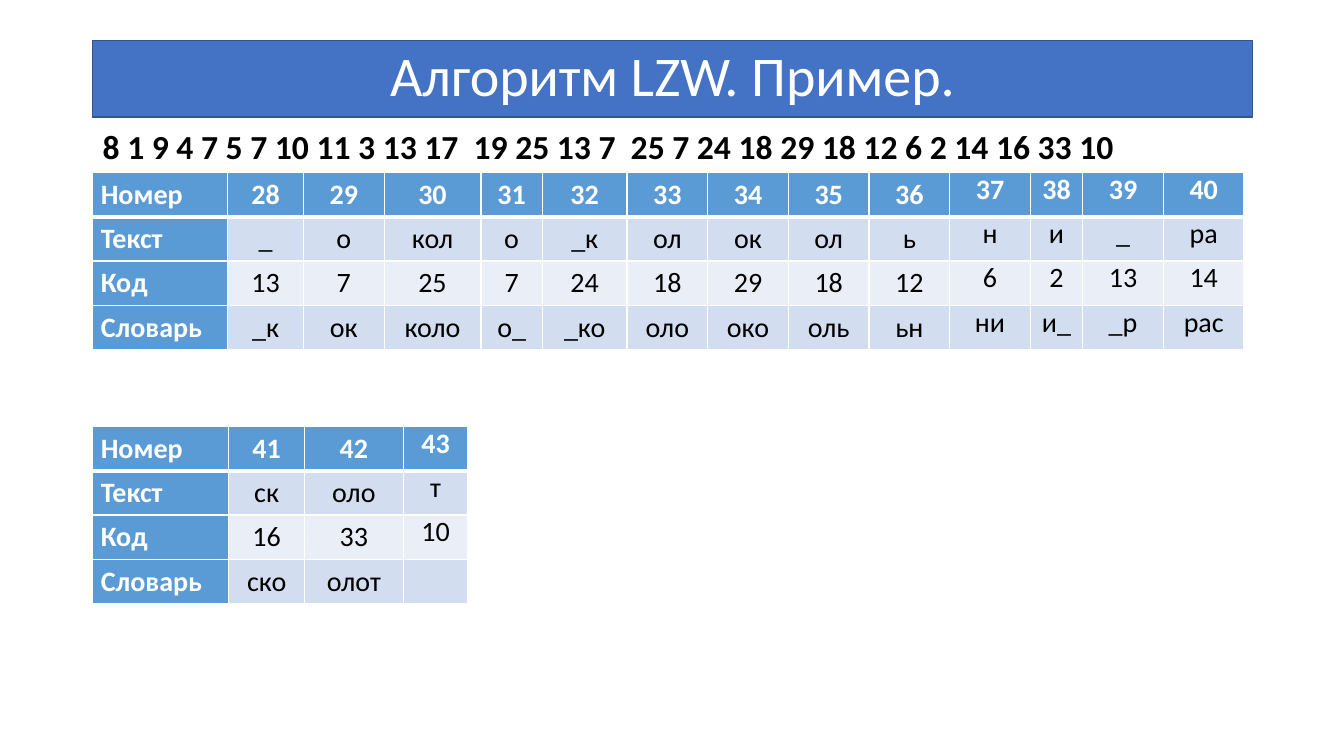
from dataclasses import dataclass

from lxml import etree
from pptx import Presentation
from pptx.dml.color import RGBColor
from pptx.enum.text import MSO_ANCHOR, MSO_AUTO_SIZE, PP_ALIGN
from pptx.oxml.ns import qn
from pptx.util import Inches, Pt

LEFT, CENTER = PP_ALIGN.LEFT, PP_ALIGN.CENTER
MIDDLE, TOP = MSO_ANCHOR.MIDDLE, MSO_ANCHOR.TOP
NO_FIT = MSO_AUTO_SIZE.NONE


@dataclass(frozen=True)
class Theme:
    font: str = "Calibri"
    white: str = "FFFFFF"
    black: str = "000000"
    title_fill: str = "4472C4"
    title_line: str = "325491"
    header: str = "5B9BD5"
    bands: tuple[str, str] = ("EAEFF7", "D2DEEF")
    title_size: int = 40
    code_size: int = 24
    cell_size: int = 20
    border: int = 1
    header_border: int = 3


@dataclass(frozen=True)
class StepTable:
    top: float
    widths: list[float]
    rows: list[list[str]]
    tight: int  # trailing columns without cell margins


THEME = Theme()
MARGIN_LEFT = 0.92
CONTENT_WIDTH = 11.5
ROW_HEIGHT = 0.44
CELL_MARGINS = {"margin_left": 0.08, "margin_top": 0.05,
                "margin_right": 0.08, "margin_bottom": 0.05}

TITLE = "Алгоритм LZW. Пример."
CODES = "8 1 9 4 7 5 7 10 11 3 13 17  19 25 13 7  25 7 24 18 29 18 12 6 2 14 16 33 10"
TABLES = [
    StepTable(
        1.71,
        [1.34, 0.75, 0.8, 0.96, 0.61, 0.84, *[0.8] * 5, 0.52, 0.8, 0.8],
        [
            ["Номер", *map(str, range(28, 41))],
            "Текст _ о кол о _к ол ок ол ь н и _ ра".split(),
            "Код 13 7 25 7 24 18 29 18 12 6 2 13 14".split(),
            "Словарь _к ок коло о_ _ко оло око оль ьн ни и_ _р рас".split(),
        ],
        4,
    ),
    StepTable(
        4.23,
        [1.35, 0.75, 0.98, 0.64],
        [
            ["Номер", *map(str, range(41, 44))],
            ["Текст", "ск", "оло", "т"],
            ["Код", "16", "33", "10"],
            ["Словарь", "ско", "олот", ""],
        ],
        1,
    ),
]


def rgb(color: str) -> RGBColor:
    return RGBColor.from_string(color)


def write(p, text: str, size: int, color: str, bold: bool = False, **layout) -> None:
    """Put one formatted run in a paragraph."""
    for name, value in layout.items():
        setattr(p, name, value)
    if not text:
        return
    r = p.add_run()
    r.text = text
    for name, value in {"name": THEME.font, "size": Pt(size), "bold": bold}.items():
        setattr(r.font, name, value)
    r.font.color.rgb = rgb(color)


def set_borders(cell, bottom: int) -> None:
    tc_pr = cell._tc.get_or_add_tcPr()
    widths = dict.fromkeys(("lnL", "lnR", "lnT"), THEME.border) | {"lnB": bottom}
    for tag, width in widths.items():
        ln = etree.SubElement(tc_pr, qn(f"a:{tag}"), w=str(Pt(width)))
        fill = etree.SubElement(ln, qn("a:solidFill"))
        etree.SubElement(fill, qn("a:srgbClr"), val=THEME.white)


def add_title(s) -> None:
    sp = s.shapes.title
    box = {"left": MARGIN_LEFT, "top": 0.4, "width": CONTENT_WIDTH, "height": 0.76}
    for name, value in box.items():
        setattr(sp, name, Inches(value))
    sp.fill.solid()
    sp.fill.fore_color.rgb = rgb(THEME.title_fill)
    sp.line.color.rgb = rgb(THEME.title_line)
    sp.line.width = Pt(1)
    tf = sp.text_frame
    for name, value in {"auto_size": NO_FIT, "vertical_anchor": MIDDLE, "word_wrap": True}.items():
        setattr(tf, name, value)
    write(tf.paragraphs[0], TITLE, THEME.title_size, THEME.white,
          alignment=CENTER, line_spacing=0.9)


def add_codes(s) -> None:
    sp = s.shapes.add_textbox(Inches(MARGIN_LEFT), Inches(1.24),
                              Inches(CONTENT_WIDTH), Inches(5.52))
    tf = sp.text_frame
    tf.word_wrap = True
    write(tf.paragraphs[0], CODES, THEME.code_size, THEME.black, True,
          line_spacing=0.9, space_before=Pt(10))


def add_step_table(s, steps: StepTable) -> None:
    n_rows, n_cols = len(steps.rows), len(steps.widths)
    table = s.shapes.add_table(
        n_rows, n_cols, Inches(MARGIN_LEFT), Inches(steps.top),
        Inches(sum(steps.widths)), Inches(ROW_HEIGHT * n_rows)).table
    table.first_col = True
    for column, width in zip(table.columns, steps.widths):
        column.width = Inches(width)
    for i, texts in enumerate(steps.rows):
        table.rows[i].height = Inches(ROW_HEIGHT)
        for j, text in enumerate(texts):
            cell = table.cell(i, j)
            heading = i == 0 or j == 0
            set_borders(cell, THEME.border if i else THEME.header_border)
            cell.fill.solid()
            cell.fill.fore_color.rgb = rgb(THEME.header if heading else THEME.bands[i % 2])
            cell.vertical_anchor = TOP
            for name, margin in CELL_MARGINS.items():
                setattr(cell, name, Inches(0 if j >= n_cols - steps.tight else margin))
            write(cell.text_frame.paragraphs[0], text, THEME.cell_size,
                  THEME.white if heading else THEME.black, heading,
                  alignment=CENTER if j else LEFT)


def main() -> None:
    prs = Presentation()
    prs.slide_width, prs.slide_height = Inches(13.33), Inches(7.5)
    s = prs.slides.add_slide(prs.slide_layouts[5])

    # Heading and code sequence
    add_title(s)
    add_codes(s)

    # Decoding steps
    for steps in TABLES:
        add_step_table(s, steps)

    prs.save("out.pptx")


if __name__ == "__main__":
    main()
